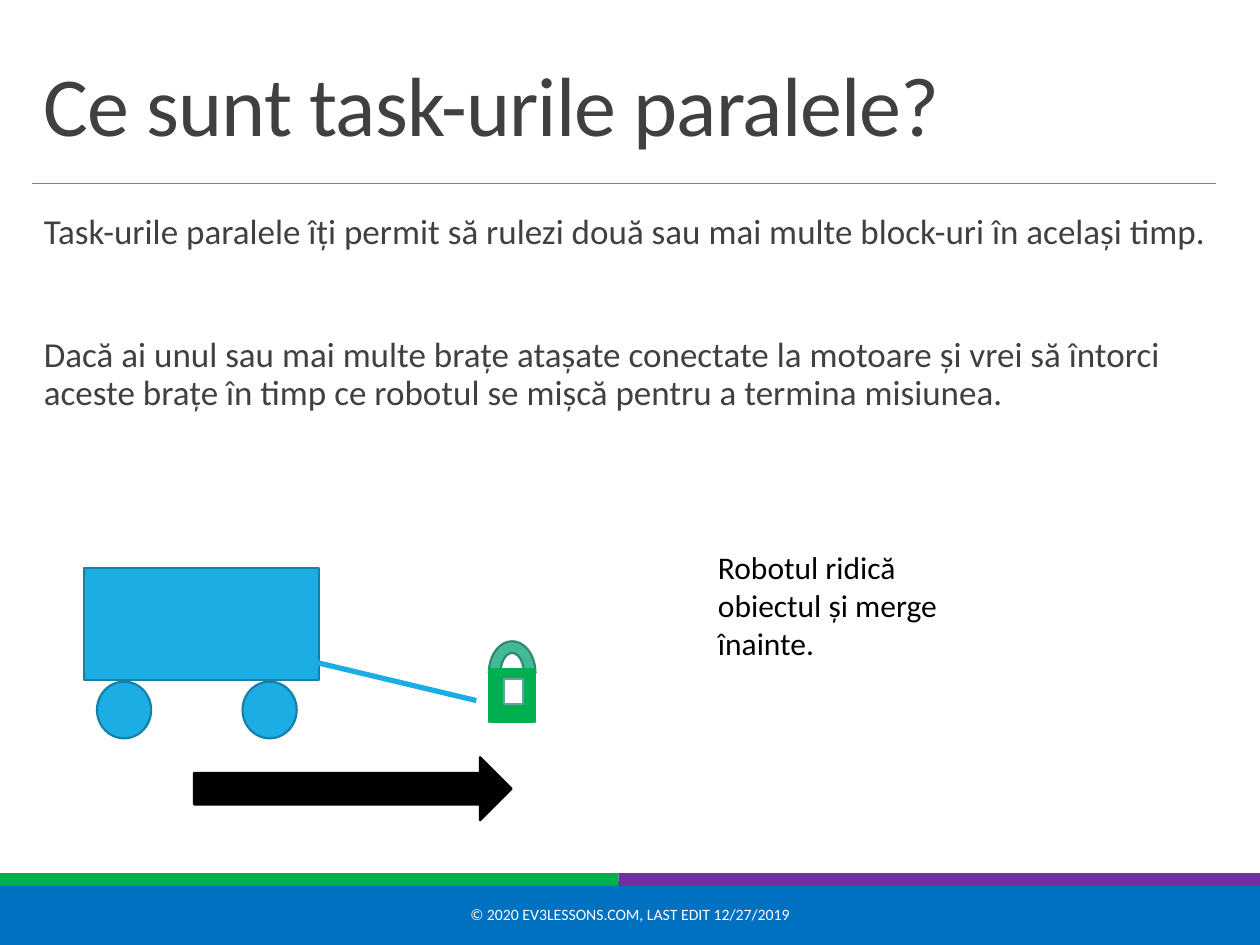
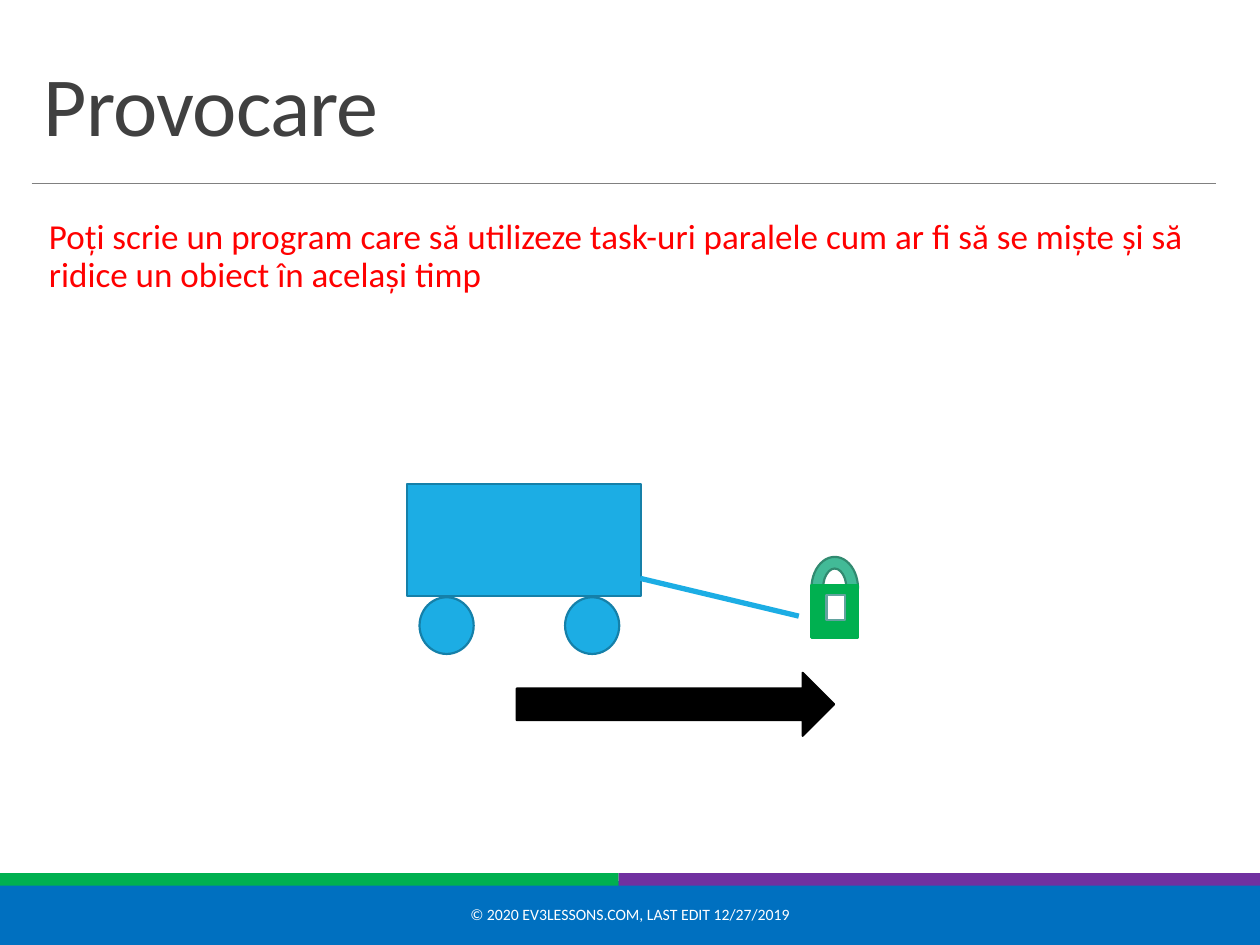
from lxml.etree import SubElement
from pptx import Presentation
from pptx.dml.color import RGBColor
from pptx.enum.shapes import MSO_CONNECTOR, MSO_SHAPE
from pptx.enum.text import MSO_ANCHOR, PP_ALIGN
from pptx.oxml.ns import qn
from pptx.util import Inches, Pt

# Grid: 100 columns by 75 rows on a 10 x 7.5 inch slide
COLS, ROWS = 100, 75
FONT = "Calibri"
BLUE, BLUE_EDGE = "1CADE4", "1580A9"
GREEN, PURPLE, FOOTER_BLUE = "00B050", "7030A0", "0070C0"
GREY, BLACK, WHITE, RED = "404040", "000000", "FFFFFF", "FF0000"
FOOTER = "© 2020 EV3LESSONS.COM, LAST EDIT 12/27/2019"


def rgb(value):
    return RGBColor.from_string(value)


class Deck:
    def __init__(self):
        self.prs = Presentation()
        self.prs.slide_width, self.prs.slide_height = Inches(10), Inches(7.5)
        self.s = None

    def x(self, cols):
        return round(self.prs.slide_width * cols / COLS)

    def y(self, rows):
        return round(self.prs.slide_height * rows / ROWS)

    def box(self, left, top, width, height):
        return self.x(left), self.y(top), self.x(width), self.y(height)

    def shape(self, kind, at, fill, edge=None, parent=None):
        sp = (parent or self.s).shapes.add_shape(kind, *self.box(*at))
        sp.shadow.inherit = False
        sp.fill.solid()
        sp.fill.fore_color.rgb = rgb(fill)
        if edge:
            sp.line.color.rgb = rgb(edge)
            sp.line.width = Pt(1.25)
        else:
            sp.line.fill.background()
        return sp

    def line(self, x1, y1, x2, y2, color, width):
        c = self.s.shapes.add_connector(MSO_CONNECTOR.STRAIGHT, self.x(x1),
                                        self.y(y1), self.x(x2), self.y(y2))
        c.line.color.rgb = rgb(color)
        c.line.width = Pt(width)
        SubElement(c._element.spPr, qn("a:effectLst"))

    def text(self, at, paragraphs, size, color, anchor=MSO_ANCHOR.TOP,
             align=PP_ALIGN.LEFT, spacing=1.0, gap=0, tracking=None):
        tf = self.s.shapes.add_textbox(*self.box(*at)).text_frame
        tf.word_wrap = True
        tf.vertical_anchor = anchor
        for i, words in enumerate(paragraphs):
            p = tf.add_paragraph() if i else tf.paragraphs[0]
            r = p.add_run()
            r.text = words
            if tracking:
                r._r.get_or_add_rPr().set("spc", str(tracking))
            p.alignment = align
            p.line_spacing = spacing
            if i:
                p.space_before = Pt(gap)
            p.font.name, p.font.size = FONT, Pt(size)
            p.font.color.rgb = rgb(color)

    def body(self, at, paragraphs, color=GREY):
        left, top, width, height = at
        self.text((left, top, width + 1, height), paragraphs, 20, color,
                  spacing=0.9, gap=49)

    def slide(self, title):
        self.s = self.prs.slides.add_slide(self.prs.slide_layouts[6])
        # Footer bands and title rule
        rect = MSO_SHAPE.RECTANGLE
        self.shape(rect, (0, 70, COLS, 5), FOOTER_BLUE, FOOTER_BLUE)
        self.shape(rect, (0, 69.3, 49.1, 1), GREEN)
        self.shape(rect, (49.1, 69.3, COLS - 49.1, 1), PURPLE)
        self.line(2.5, 14.6, 96.5, 14.6, "808080", 0.5)
        # Title and footer text
        self.text((2.5, 3.1, 94, 9.6), [title], 48, GREY, MSO_ANCHOR.BOTTOM,
                  spacing=0.85, tracking=-50)
        self.text((30.2, 70.6, 39.6, 4), [FOOTER], 9, WHITE,
                  MSO_ANCHOR.MIDDLE, PP_ALIGN.CENTER)

    def robot_scene(self, left, top):
        """Robot with an arm, the object it lifts and its direction."""
        # Robot body and wheels
        robot = self.s.shapes.add_group_shape()
        self.shape(MSO_SHAPE.RECTANGLE, (left, top, 18.6, 8.9),
                   BLUE, BLUE_EDGE, robot)
        for wheel in (1, 12.55):
            self.shape(MSO_SHAPE.OVAL, (left + wheel, top + 9, 4.3, 4.5),
                       BLUE, BLUE_EDGE, robot)
        # Object with a handle
        load = self.s.shapes.add_group_shape()
        for kind, dx, dy, w, h, fill, edge in (
                (MSO_SHAPE.BLOCK_ARC, 32.1, 5.8, 3.7, 5, "42BA97", "318A70"),
                (MSO_SHAPE.RECTANGLE, 32.1, 8, 3.7, 4.2, GREEN, GREEN),
                (MSO_SHAPE.RECTANGLE, 33.3, 8.8, 1.5, 2, WHITE, "62A39F")):
            self.shape(kind, (left + dx, top + dy, w, h), fill, edge, load)
        # Arm and direction of travel
        self.line(left + 18.5, top + 7.5, left + 31.1, top + 10.5, BLUE, 3)
        self.shape(MSO_SHAPE.RIGHT_ARROW, (left + 8.7, top + 15, 25.2, 5),
                   BLACK, BLACK)


def main():
    deck = Deck()

    # Slide 1: what parallel tasks are
    deck.slide("Ce sunt task-urile paralele?")
    deck.body((2.5, 16.5, 94, 50.9), [
        "Task-urile paralele îți permit să rulezi două sau mai multe block-uri "
        "în același timp.",
        "Dacă ai unul sau mai multe brațe atașate conectate la motoare și vrei "
        "să întorci aceste brațe în timp ce robotul se mișcă pentru a termina "
        "misiunea."])
    deck.text((56, 43, 22.7, 10.1),
              ["Robotul ridică obiectul și merge înainte."], 18, BLACK)
    deck.robot_scene(6.7, 45.1)

    # Slide 2: the challenge
    deck.slide("Provocare")
    deck.body((2.9, 16.9, 92.5, 43.7), [
        "Poți scrie un program care să utilizeze task-uri paralele cum ar fi "
        "să se miște și să ridice un obiect în același timp"], RED)
    deck.robot_scene(32.3, 38.4)

    deck.prs.save("out.pptx")


if __name__ == "__main__":
    main()
